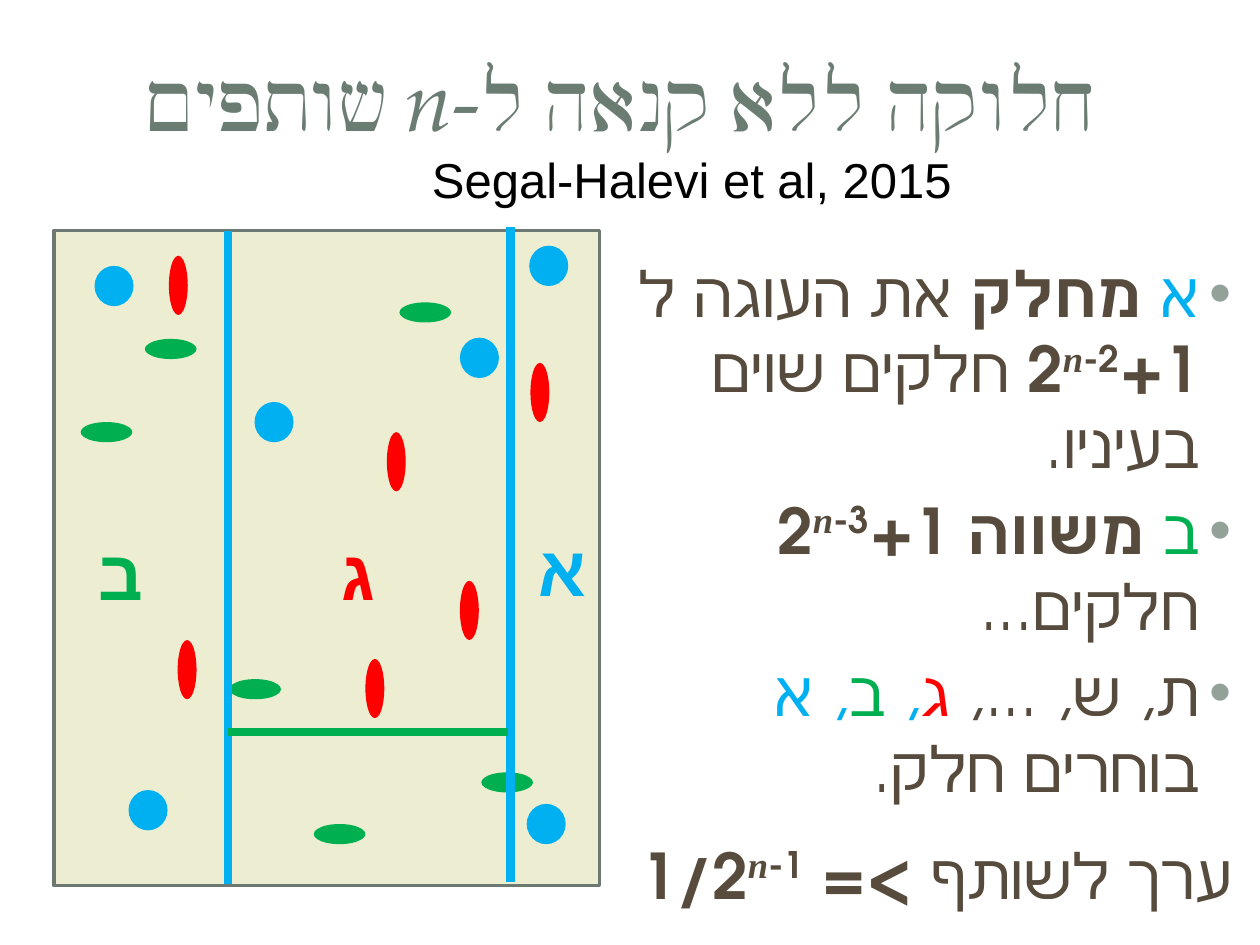
import pptx
import pptx.util
import pptx.dml.color
import pptx.enum.shapes
import pptx.enum.text
import pptx.oxml.ns
from lxml import etree

Inches, Pt = pptx.util.Inches, pptx.util.Pt
Align, Anchor = pptx.enum.text.PP_ALIGN, pptx.enum.text.MSO_ANCHOR
Kind = pptx.enum.shapes.MSO_SHAPE
BLUE, GREEN, RED, BROWN = "00B0F0", "00B050", "FF0000", "564B3C"
SANS, SERIF = "TeX Gyre Adventor", "Times New Roman"


def color(code):
    return pptx.dml.color.RGBColor.from_string(code)


def child(node, tag, **attrs):
    return etree.SubElement(node, pptx.oxml.ns.qn(tag), **attrs)


def style(font, face, code, bold=False, italic=False):
    """Set a font, for Hebrew letters too."""
    font.name, font.bold, font.italic = face, bold, italic
    font.color.rgb = color(code)
    child(font._element if hasattr(font, "_element") else font._rPr,
          "a:cs", typeface=face)


def add_run(para, text, face, code, bold=False, italic=False, high=False):
    run = para.add_run()
    run.text = text
    style(run.font, face, code, bold, italic)
    if high:
        run.font._rPr.set("baseline", "33000")


def set_rtl(para, margin=0, indent=0, align=Align.RIGHT):
    para.alignment = align
    props = para._p.get_or_add_pPr()
    props.set("rtl", "1")
    props.set("marL", str(Inches(margin)))
    props.set("indent", str(Inches(indent)))
    return props


def add_box(slide, left, top, width, height, wrap=True):
    box = slide.shapes.add_textbox(
        Inches(left), Inches(top), Inches(width), Inches(height))
    box.text_frame.word_wrap = wrap
    return box.text_frame


def add_label(slide, left, top, width, height, text, size, code,
              bold=False, rtl=False):
    para = add_box(slide, left, top, width, height, False).paragraphs[0]
    para.text = text
    para.line_spacing = 0.93
    para.font.size = Pt(size)
    style(para.font, "Arial", code, bold)
    if rtl:
        set_rtl(para)


def add_shape(slide, kind, left, top, width, height, fill, line=None):
    shape = slide.shapes.add_shape(
        kind, Inches(left), Inches(top), Inches(width), Inches(height))
    shape.shadow.inherit = False
    shape.fill.solid()
    shape.fill.fore_color.rgb = color(fill)
    if line:
        shape.line.color.rgb = color(line)
        shape.line.width = Pt(2)
    else:
        shape.line.fill.background()


def add_cut(slide, x1, y1, x2, y2, code):
    cut = slide.shapes.add_connector(
        pptx.enum.shapes.MSO_CONNECTOR.STRAIGHT,
        Inches(x1), Inches(y1), Inches(x2), Inches(y2))
    cut.line.color.rgb = color(code)
    cut.line.width = Pt(5)
    child(cut._element.spPr, "a:effectLst")


def add_title(slide, left, top, width, height):
    title = slide.shapes.title
    title.left, title.top = Inches(left), Inches(top)
    title.width, title.height = Inches(width), Inches(height)
    frame = title.text_frame
    frame.vertical_anchor = Anchor.MIDDLE
    frame.auto_size = pptx.enum.text.MSO_AUTO_SIZE.NONE
    para = frame.paragraphs[0]
    set_rtl(para, align=Align.CENTER)
    para.font.size = Pt(48)
    for text, italic in (("חלוקה ללא קנאה ל-", False), ("n ", True),
                         ("שותפים", False)):
        add_run(para, text, "TeX Gyre Pagella", "6B7D72", italic=italic)


def add_cake(slide, left, top, width, height):
    """Draw the cake with its toppings, cuts and the partners' letters."""
    add_shape(slide, Kind.RECTANGLE, left, top, width, height,
              "ECEDD1", "6D7871")
    toppings = (
        (BLUE, 0.31, 0.32, ((3.22, 0.85), (3.75, 4.55), (3.77, 0.12),
                            (0.32, 0.28), (1.59, 1.36), (0.59, 4.44))),
        (GREEN, 0.41, 0.16, ((1.39, 3.56), (2.74, 0.57), (0.21, 1.52),
                             (0.72, 0.86), (2.06, 4.71), (3.39, 4.3))),
        (RED, 0.15, 0.47, ((3.78, 1.05), (2.64, 1.6), (0.98, 3.25),
                           (3.22, 2.78), (0.91, 0.2), (2.47, 3.4))))
    for code, wide, high, spots in toppings:
        for x, y in spots:
            add_shape(slide, Kind.OVAL, left + x, top + y, wide, high, code)
    for x1, y1, x2, y2, code in ((3.62, -0.03, 3.62, 5.17, BLUE),
                                 (1.38, 0, 1.38, 5.19, BLUE),
                                 (3.6, 3.98, 1.38, 3.98, GREEN)):
        add_cut(slide, left + x1, top + y1, left + x2, top + y2, code)
    for x, y, wide, text, code in ((3.75, 2.36, 0.53, "א", BLUE),
                                   (2.18, 2.39, 0.46, "ג", RED),
                                   (0.25, 2.39, 0.52, "ב", GREEN)):
        add_label(slide, left + x, top + y, wide, 0.73, text, 40, code, True)


def fill_para(para, parts, margin, indent=0):
    """Write parts of (text, colour, look); look holds b, i and ^ marks."""
    props = set_rtl(para, margin, indent)
    para.space_before = Pt(6)
    para.font.size = Pt(36)
    for text, code, look in parts:
        face = SERIF if "i" in look else SANS
        add_run(para, text, face, code, "b" in look, "i" in look, "^" in look)
    return props


def add_bullet(props):
    mark = etree.Element(pptx.oxml.ns.qn("a:buClr"))
    child(mark, "a:srgbClr", val="93A299")
    font = etree.Element(pptx.oxml.ns.qn("a:buFont"), typeface="Arial")
    char = etree.Element(pptx.oxml.ns.qn("a:buChar"), char="•")
    last = props.find(pptx.oxml.ns.qn("a:defRPr"))
    for node in (mark, font, char):
        last.addprevious(node)


def add_steps(slide, left, top, width, height):
    frame = add_box(slide, left, top, width, height)
    steps = (
        (("א ", BLUE, ""), ("מחלק", BROWN, "b"), (" את העוגה ל ", BROWN, ""),
         ("2", BROWN, "b"), ("n", BROWN, "bi^"), ("-2", BROWN, "b^"),
         ("+1 ", BROWN, "b"), ("חלקים שוים בעיניו.", BROWN, "")),
        (("ב ", GREEN, ""), ("משווה 2", BROWN, "b"), ("n", BROWN, "bi^"),
         ("-3", BROWN, "b^"), ("+1", BROWN, "b"), (" חלקים...", BROWN, "")),
        (("ת, ש, ..., ", BROWN, ""), ("ג", RED, ""), (", ", BLUE, ""),
         ("ב", GREEN, ""), (", א ", BLUE, ""), ("בוחרים חלק.", BROWN, "")))
    for i, parts in enumerate(steps):
        para = frame.add_paragraph() if i else frame.paragraphs[0]
        add_bullet(fill_para(para, parts, 0.38, -0.25))


def add_value(slide, left, top, width, height):
    para = add_box(slide, left, top, width, height).paragraphs[0]
    fill_para(para, (("ערך לשותף ", BROWN, ""), (">= 1/2", BROWN, "b"),
                     ("n", BROWN, "bi^"), ("-1", BROWN, "b^")), 0.12)


def main():
    deck = pptx.Presentation()
    deck.slide_width, deck.slide_height = Inches(10), Inches(7.5)
    slide = deck.slides.add_slide(deck.slide_layouts[5])
    add_title(slide, 0.43, 0.21, 9.03, 1.14)
    add_cake(slide, 0.43, 1.83, 4.33, 5.2)
    add_steps(slide, 4.76, 1.97, 5.24, 4.8)
    add_value(slide, 4.99, 6.59, 5.01, 0.9)
    add_label(slide, 3.27, 1.18, 4.38, 0.54, "Segal-Halevi et al, 2015",
              28, "000000", rtl=True)
    deck.save("out.pptx")


if __name__ == "__main__":
    main()
